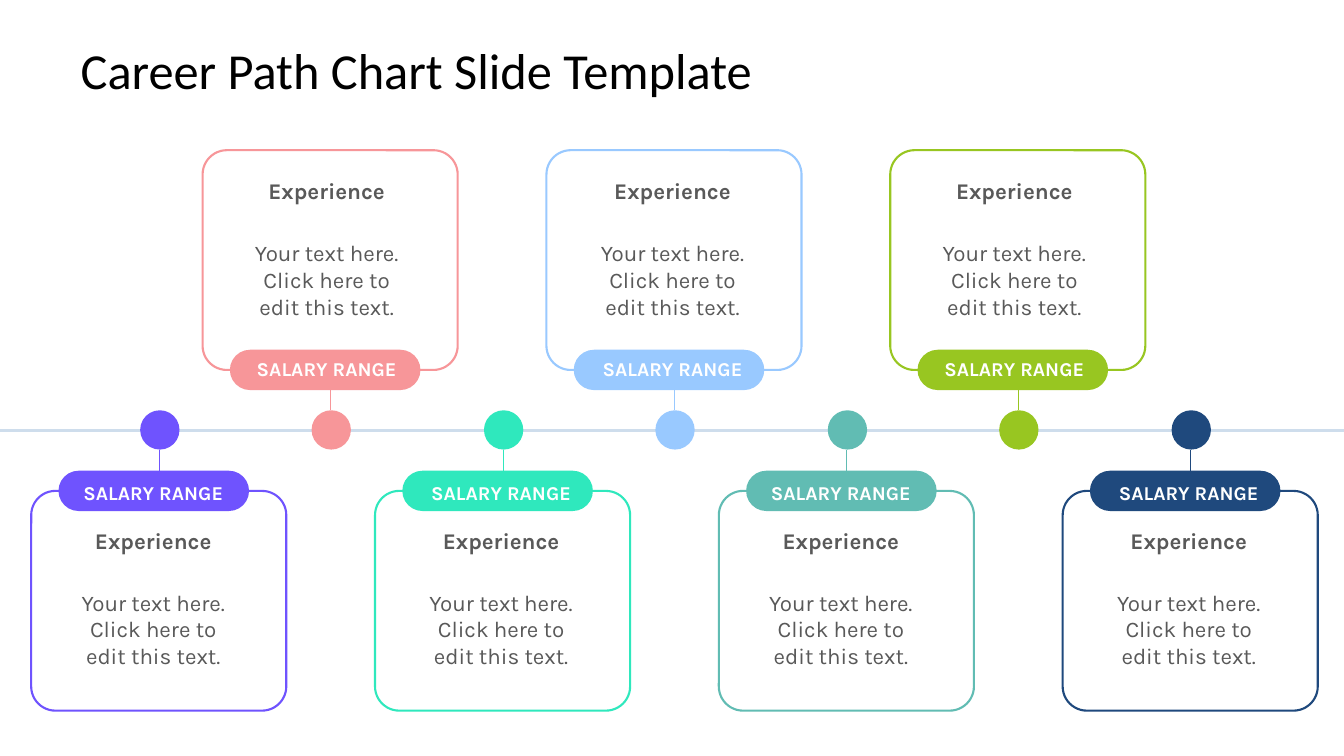
from pptx import Presentation
from pptx.dml.color import RGBColor
from pptx.enum.shapes import MSO_CONNECTOR, MSO_SHAPE
from pptx.enum.text import MSO_ANCHOR, MSO_AUTO_SIZE, PP_ALIGN
from pptx.oxml.ns import qn
from pptx.util import Pt
from lxml import etree

ROUNDED, OVAL = MSO_SHAPE.ROUNDED_RECTANGLE, MSO_SHAPE.OVAL
STRAIGHT = MSO_CONNECTOR.STRAIGHT
MIDDLE, NO_FIT = MSO_ANCHOR.MIDDLE, MSO_AUTO_SIZE.NONE
LEFT, CENTER = PP_ALIGN.LEFT, PP_ALIGN.CENTER

PX = 9144
SLIDE_W, SLIDE_H = 1333, 750
AXIS_Y = 427
FIRST_X, TWO_STEPS = 158, 341
CARD_W, CARD_H, CARD_RADIUS = 253, 218, 24
PILL_W, PILL_H = 189, 40
DOT = 39

COLORS = {
    "white": "FFFFFF", "black": "000000", "gray": "595959", "axis": "CEDDEC",
    "violet": "6F53FE", "pink": "F79699", "mint": "2FE8BD", "sky": "99C9FF",
    "teal": "61BCB3", "lime": "98C621", "navy": "1F497D",
}
FORMATS = {
    "title": {"size": Pt(36), "name": "Calibri", "bold": False, "color": "black"},
    "label": {"size": Pt(14), "name": "Karla", "bold": True, "color": "white"},
    "heading": {"size": Pt(16), "name": "Karla", "bold": True, "color": "gray"},
    "body": {"size": Pt(16), "name": "Karla", "bold": False, "color": "gray"},
}
TEXTS = {
    "label": ("SALARY RANGE", 158, 33),
    "heading": ("Experience", 126, 39),
    "body": ("Your text here. Click here to edit this text.", 168, 92),
}
ABOVE = {"card": 149, "pill": 347, "stem": 386, "label": 349, "heading": 170, "body": 231}
BELOW = {"card": 487, "pill": 467, "stem": 446, "label": 472, "heading": 517, "body": 578}
STEM_H = 21
STAGES = [("violet", -6), ("pink", -4), ("mint", -2), ("sky", -2),
          ("teal", -6), ("lime", -4), ("navy", -2)]


def rgb(name):
    return RGBColor.from_string(COLORS[name])


def emu(*lengths):
    return [n * PX for n in lengths]


def add_block(s, kind, box, fill, line=None, radius=None):
    sp = s.shapes.add_shape(kind, *emu(*box))
    sp.shadow.inherit = False
    sp.fill.solid()
    sp.fill.fore_color.rgb = rgb(fill)
    if line:
        sp.line.color.rgb = rgb(line)
        sp.line.width = Pt(1.5)
    else:
        sp.line.fill.background()
    if radius:
        sp.adjustments[0] = radius / min(box[2:])


def add_line(s, ends, color, width):
    cx = s.shapes.add_connector(STRAIGHT, *emu(*ends))
    cx.line.color.rgb = rgb(color)
    cx.line.width = Pt(width)
    etree.SubElement(cx._element.spPr, qn("a:effectLst"))


def write(sp, text, style, align, inset_x=0, inset_y=0):
    tf = sp.text_frame
    frame = {"word_wrap": True, "auto_size": NO_FIT, "vertical_anchor": MIDDLE}
    frame.update(dict.fromkeys(("margin_left", "margin_right"), inset_x * PX))
    frame.update(dict.fromkeys(("margin_top", "margin_bottom"), inset_y * PX))
    for name, value in frame.items():
        setattr(tf, name, value)
    p = tf.paragraphs[0]
    p.alignment = align
    r = p.add_run()
    r.text = text
    for name, value in FORMATS[style].items():
        if name == "color":
            r.font.color.rgb = rgb(value)
        else:
            setattr(r.font, name, value)


def add_title(s, box):
    sp = s.shapes.title
    sp.left, sp.top, sp.width, sp.height = emu(*box)
    write(sp, "Career Path Chart Slide Template", "title", LEFT, 13, 7)


def add_stage(s, x, tops, color, text_shift):
    add_block(s, ROUNDED, (x - 127, tops["card"], CARD_W, CARD_H),
              "white", color, CARD_RADIUS)
    add_block(s, ROUNDED, (x - 100, tops["pill"], PILL_W, PILL_H),
              color, radius=PILL_H / 2)
    add_line(s, (x, tops["stem"], x, tops["stem"] + STEM_H), color, 0.7)
    add_block(s, OVAL, (x - DOT // 2, AXIS_Y - DOT // 2 - 1, DOT, DOT), color)
    for style, (text, w, h) in TEXTS.items():
        box = (x + text_shift - w // 2, tops[style], w, h)
        write(s.shapes.add_textbox(*emu(*box)), text, style, CENTER)


def add_timeline(s, left, width):
    add_line(s, (left, AXIS_Y, left + width, AXIS_Y), "axis", 2.1)
    for i, (color, text_shift) in enumerate(STAGES):
        x = left + FIRST_X + TWO_STEPS * i // 2
        add_stage(s, x, ABOVE if i % 2 else BELOW, color, text_shift)


def main():
    prs = Presentation()
    prs.slide_width, prs.slide_height = emu(SLIDE_W, SLIDE_H)
    s = prs.slides.add_slide(prs.slide_layouts[5])
    add_title(s, (67, 30, 1200, 78))
    add_timeline(s, 0, SLIDE_W)
    prs.save("out.pptx")


if __name__ == "__main__":
    main()
